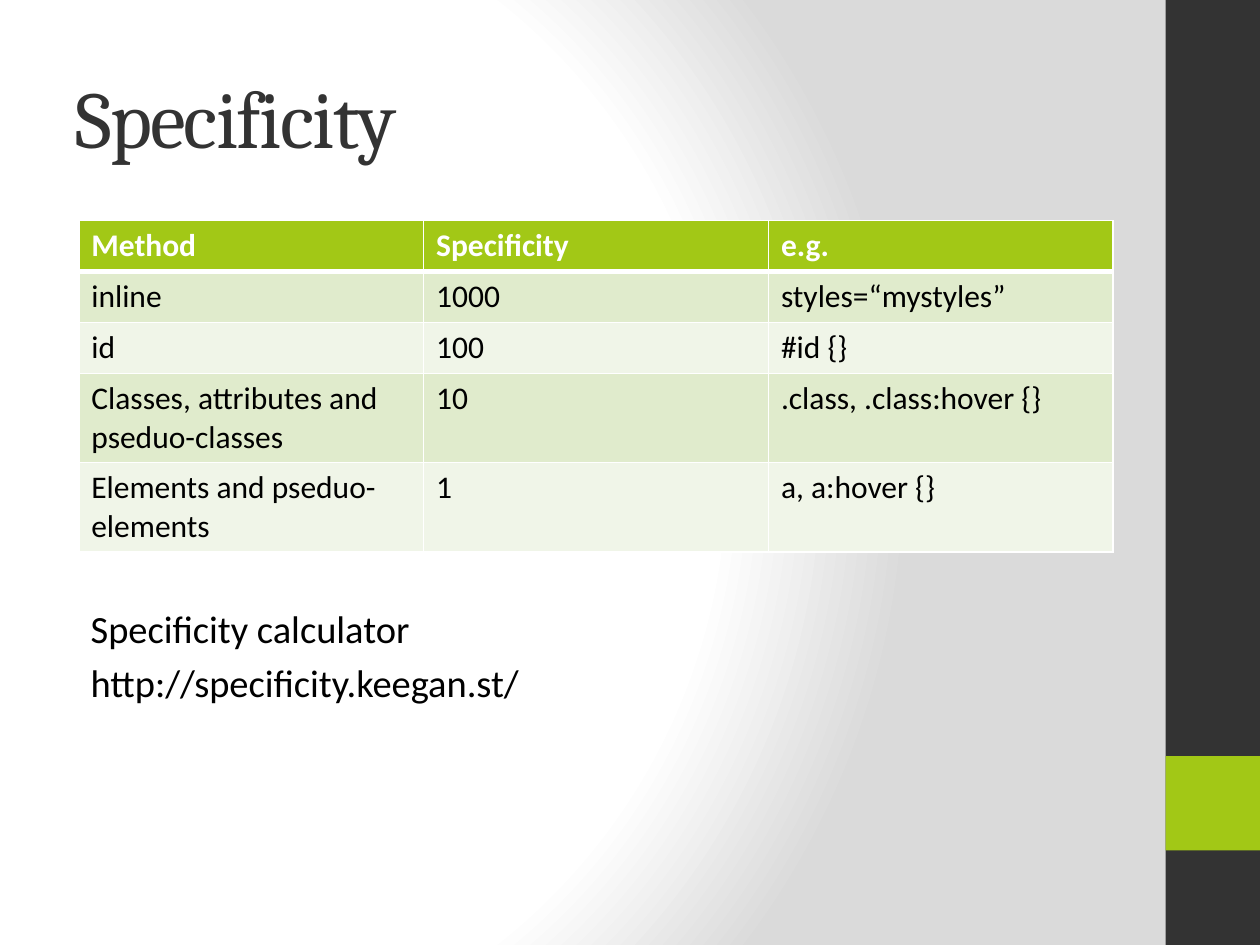
from dataclasses import dataclass

from pptx import Presentation, oxml, util as u
from pptx.dml.color import RGBColor
from pptx.enum import shapes, text
from pptx.oxml import ns


@dataclass(frozen=True)
class Theme:
    dark: str = "333333"
    green: str = "A2C816"
    white: str = "FFFFFF"
    black: str = "000000"
    gray: str = "DADADA"
    bands: tuple = ("E0EBCC", "F0F5E8")
    head: str = "Cambria"
    body: str = "Calibri"
    big: int = 46
    mid: int = 22
    small: int = 18


class Deck:
    """Places elements on a grid of 40 columns by 30 rows."""
    COLS, ROWS = 40, 30

    def __init__(self, theme):
        self.theme = theme
        self.prs = Presentation()
        self.prs.slide_width, self.prs.slide_height = u.Inches(10), u.Inches(7.5)
        self.slide = self.prs.slides.add_slide(self.prs.slide_layouts[6])

    def span(self, cols):
        return round(self.prs.slide_width * cols / self.COLS)

    def rise(self, rows):
        return round(self.prs.slide_height * rows / self.ROWS)

    def box(self, x, y, w, h):
        return self.span(x), self.rise(y), self.span(w), self.rise(h)

    def paint(self, item, color):
        item.fill.solid()
        item.fill.fore_color.rgb = RGBColor.from_string(color)

    def words(self, para, line, color, **form):
        run = para.add_run()
        run.text = line
        run.font.color.rgb = RGBColor.from_string(color)
        for key, val in form.items():
            setattr(run.font, key, val)
        return run

    def glow(self, stops):
        marks = "".join(f'<a:gs pos="{pos * 1000}"><a:srgbClr val="{color}"/></a:gs>'
                        for pos, color in stops)
        self.slide.element[0].insert(0, oxml.parse_xml(
            f'<p:bg {ns.nsdecls("p", "a")}><p:bgPr><a:gradFill rotWithShape="1">'
            f'<a:gsLst>{marks}</a:gsLst><a:path path="circle">'
            '<a:fillToRect l="20000" t="50000" r="100000" b="50000"/></a:path>'
            '</a:gradFill><a:effectLst/></p:bgPr></p:bg>'))

    def block(self, area, color):
        shape = self.slide.shapes.add_shape(shapes.MSO_SHAPE.RECTANGLE, *self.box(*area))
        shape.shadow.inherit = False
        self.paint(shape, color)
        shape.line.fill.background()

    def label(self, area, lines, color, anchor, left=0.1, gap=0, track=0, **form):
        frame = self.slide.shapes.add_textbox(*self.box(*area)).text_frame
        style = {"word_wrap": True, "vertical_anchor": anchor,
                 "margin_left": u.Inches(left)}
        for key, val in style.items():
            setattr(frame, key, val)
        for i, line in enumerate(lines):
            para = frame.add_paragraph() if i else frame.paragraphs[0]
            para.space_before = u.Pt(gap if i else 0)
            run = self.words(para, line, color, **form)
            if track:
                run.font._element.set("spc", str(track * 100))

    def edge(self, cell, widths):
        props = cell._tc.get_or_add_tcPr()
        for i, (side, width) in enumerate(widths.items()):
            props.insert(i, oxml.parse_xml(
                f'<a:ln{side} {ns.nsdecls("a")} w="{u.Pt(width)}"><a:solidFill>'
                f'<a:srgbClr val="{self.theme.white}"/></a:solidFill></a:ln{side}>'))

    def table(self, area, data, rows):
        t = self.theme
        grid = self.slide.shapes.add_table(
            len(data), len(data[0]), *self.box(*area, sum(rows))).table
        for col in grid.columns:
            col.width = self.span(area[2] / len(data[0]))
        for r, items in enumerate(data):
            grid.rows[r].height = self.rise(rows[r])
            for c, item in enumerate(items):
                cell = grid.cell(r, c)
                self.paint(cell, t.bands[(r - 1) % 2] if r else t.green)
                self.words(cell.text_frame.paragraphs[0], item,
                           t.black if r else t.white, name=t.body,
                           size=u.Pt(t.small), bold=not r)
                self.edge(cell, {"L": 1, "R": 1, "T": 3 if r == 1 else 1,
                                 "B": 1 if r else 3})


def main():
    t = Theme()
    deck = Deck(t)

    # Background and side bar
    deck.glow([(0, t.white), (75, t.white), (100, t.gray)])
    deck.block((37, 0, 3, 30), t.dark)
    deck.block((37, 24, 3, 3), t.green)

    # Title
    deck.label((2, 1.2, 33.3, 5), ["Specificity"], t.dark, text.MSO_ANCHOR.MIDDLE,
               track=-1, name=t.head, size=u.Pt(t.big))

    # Specificity table
    deck.table((2.5, 7, 32.84), [
        ("Method", "Specificity", "e.g."),
        ("inline", "1000", "styles=“mystyles”"),
        ("id", "100", "#id {}"),
        ("Classes, attributes and pseduo-classes", "10", ".class, .class:hover {}"),
        ("Elements and pseduo-elements", "1", "a, a:hover {}"),
    ], [1.62] * 3 + [2.83] * 2)

    # Calculator note
    deck.label((2, 19, 33.3, 9), ["Specificity calculator", "http://specificity.keegan.st/"],
               t.black, text.MSO_ANCHOR.TOP, left=0.22, gap=t.mid * 0.2,
               name=t.body, size=u.Pt(t.mid))

    deck.prs.save("out.pptx")


if __name__ == "__main__":
    main()
